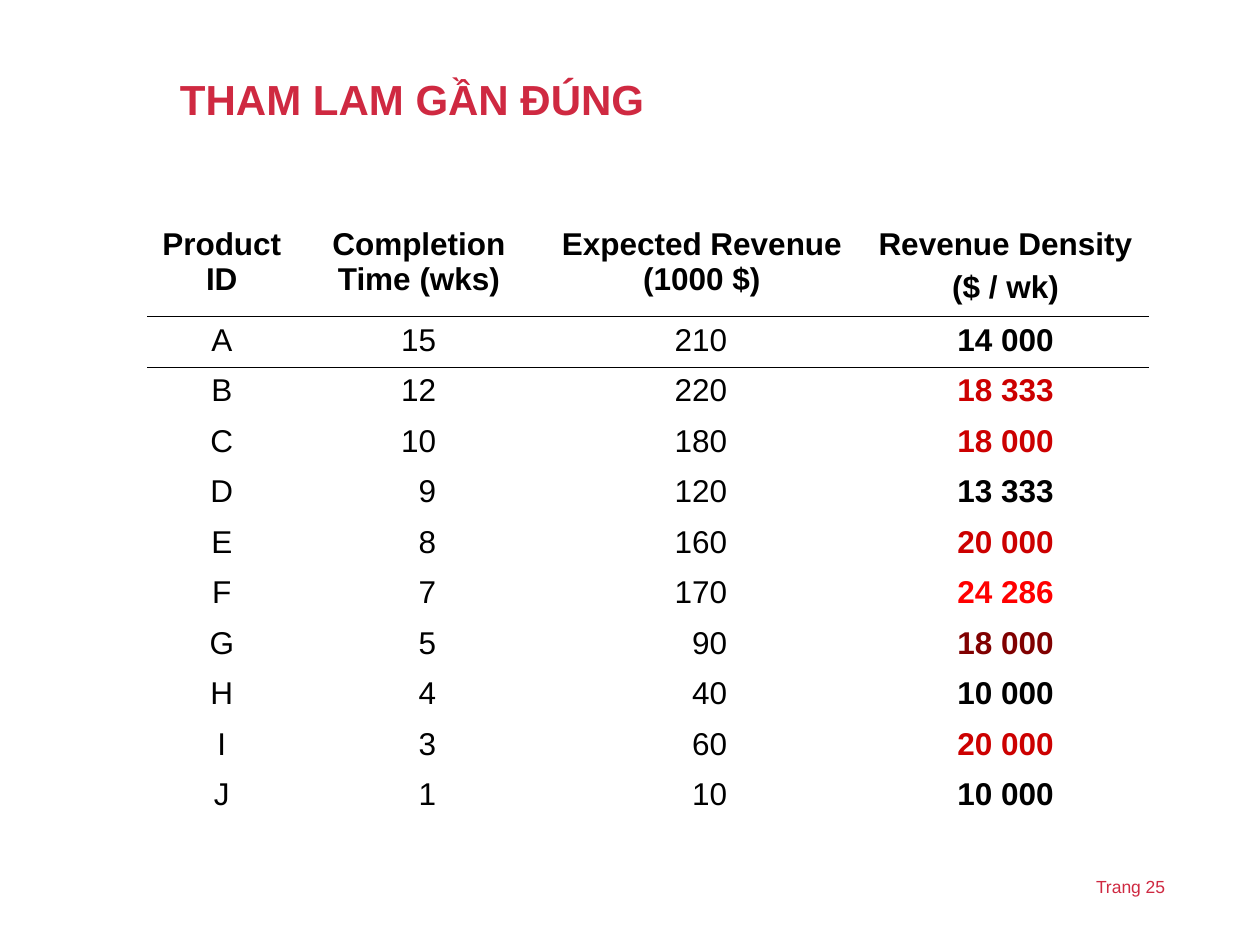
from dataclasses import dataclass

from lxml import etree
from pptx import Presentation
from pptx.dml.color import RGBColor
from pptx.enum.text import MSO_ANCHOR, PP_ALIGN
from pptx.oxml.ns import qn
from pptx.util import Inches, Pt

CENTER, RIGHT = PP_ALIGN.CENTER, PP_ALIGN.RIGHT
TOP, MIDDLE = MSO_ANCHOR.TOP, MSO_ANCHOR.MIDDLE
NO_GRID = "{2D5ABB26-0587-4C30-8999-92F81FD0307C}"


@dataclass(frozen=True)
class Theme:
    """Colours, font and type sizes of the slide."""
    font: str = "Arial"
    accent: str = "CF2941"
    ink: str = "000000"
    good: str = "CC0000"
    best: str = "FF0000"
    tie: str = "800000"
    title: int = 24
    body: int = 18
    small: int = 10
    rule: float = 0.45


THEME = Theme()
COLS = (1.18, 1.95, 2.54, 2.28)
HEAD_ROW, BODY_ROW = 0.76, 0.4
INDENTS = {1: 0.84, 2: 1.07}
HEADS = ("Product ID", "Completion Time (wks)", "Expected Revenue (1000 $)",
         "Revenue Density\n($ / wk)")
ROWS = (
    ("A", "15", "210", "14 000", THEME.ink),
    ("B", "12", "220", "18 333", THEME.good),
    ("C", "10", "180", "18 000", THEME.good),
    ("D", "9", "120", "13 333", THEME.ink),
    ("E", "8", "160", "20 000", THEME.good),
    ("F", "7", "170", "24 286", THEME.best),
    ("G", "5", "90", "18 000", THEME.tie),
    ("H", "4", "40", "10 000", THEME.ink),
    ("I", "3", "60", "20 000", THEME.good),
    ("J", "1", "10", "10 000", THEME.ink),
)


def style(para, size, color, bold=False):
    """Set the font of a paragraph."""
    font = para.font
    font.name, font.size, font.bold = THEME.font, Pt(size), bold
    font.color.rgb = RGBColor.from_string(color)


def add_text(slide, box, text, size, bold=False, anchor=TOP, spacing=None):
    """Add a line of accent text in the given box."""
    frame = slide.shapes.add_textbox(*map(Inches, box)).text_frame
    frame.word_wrap = True
    frame.vertical_anchor = anchor
    para = frame.paragraphs[0]
    para.text = text
    para.line_spacing = spacing
    style(para, size, THEME.accent, bold)


def fill_cell(cell, text, color=THEME.ink, bold=False, indent=None):
    """Write a cell, centred or right-aligned at an indent."""
    cell.fill.background()
    cell.text = text
    if indent:
        cell.margin_right = Inches(indent)
    for para in cell.text_frame.paragraphs:
        para.alignment = RIGHT if indent else CENTER
        para.space_before = Pt(4.5)
        style(para, THEME.body, color, bold)


def rule_cell(cell, side):
    """Draw a thin line on one side of a cell."""
    props = cell._tc.get_or_add_tcPr()
    line = etree.Element(qn(f"a:{side}"), w=str(Pt(THEME.rule)))
    fill = etree.SubElement(line, qn("a:solidFill"))
    etree.SubElement(fill, qn("a:srgbClr"), val=THEME.ink)
    props.insert(0, line)


def add_grid(slide, left, top):
    """Add the product table at the given corner."""
    height = HEAD_ROW + BODY_ROW * len(ROWS)
    box = map(Inches, (left, top, sum(COLS), height))
    frame = slide.shapes.add_table(len(ROWS) + 1, len(COLS), *box)
    next(frame.element.iter(qn("a:tableStyleId"))).text = NO_GRID
    table = frame.table
    table.first_row = table.horz_banding = False
    for col, width in zip(table.columns, COLS):
        col.width = Inches(width)
    for num, row in enumerate(table.rows):
        row.height = Inches(BODY_ROW if num else HEAD_ROW)
    for col, head in enumerate(HEADS):
        fill_cell(table.cell(0, col), head, bold=True)
        rule_cell(table.cell(0, col), "lnB")
        rule_cell(table.cell(1, col), "lnT")
    for num, (*values, density, color) in enumerate(ROWS, 1):
        for col, value in enumerate(values):
            fill_cell(table.cell(num, col), value, indent=INDENTS.get(col))
        fill_cell(table.cell(num, len(values)), density, color, True)


def main():
    """Build and save the slide."""
    deck = Presentation()
    deck.slide_width, deck.slide_height = Inches(10), Inches(7.5)
    slide = deck.slides.add_slide(deck.slide_layouts[6])
    add_text(slide, (8.6, 6.9, 1.21, 0.27), "Trang 25", THEME.small)
    add_text(slide, (1.33, 0.4, 7.98, 0.82), "THAM LAM GẦN ĐÚNG",
             THEME.title, True, MIDDLE, 0.9)
    add_grid(slide, 1.17, 1.75)
    deck.save("out.pptx")


if __name__ == "__main__":
    main()
